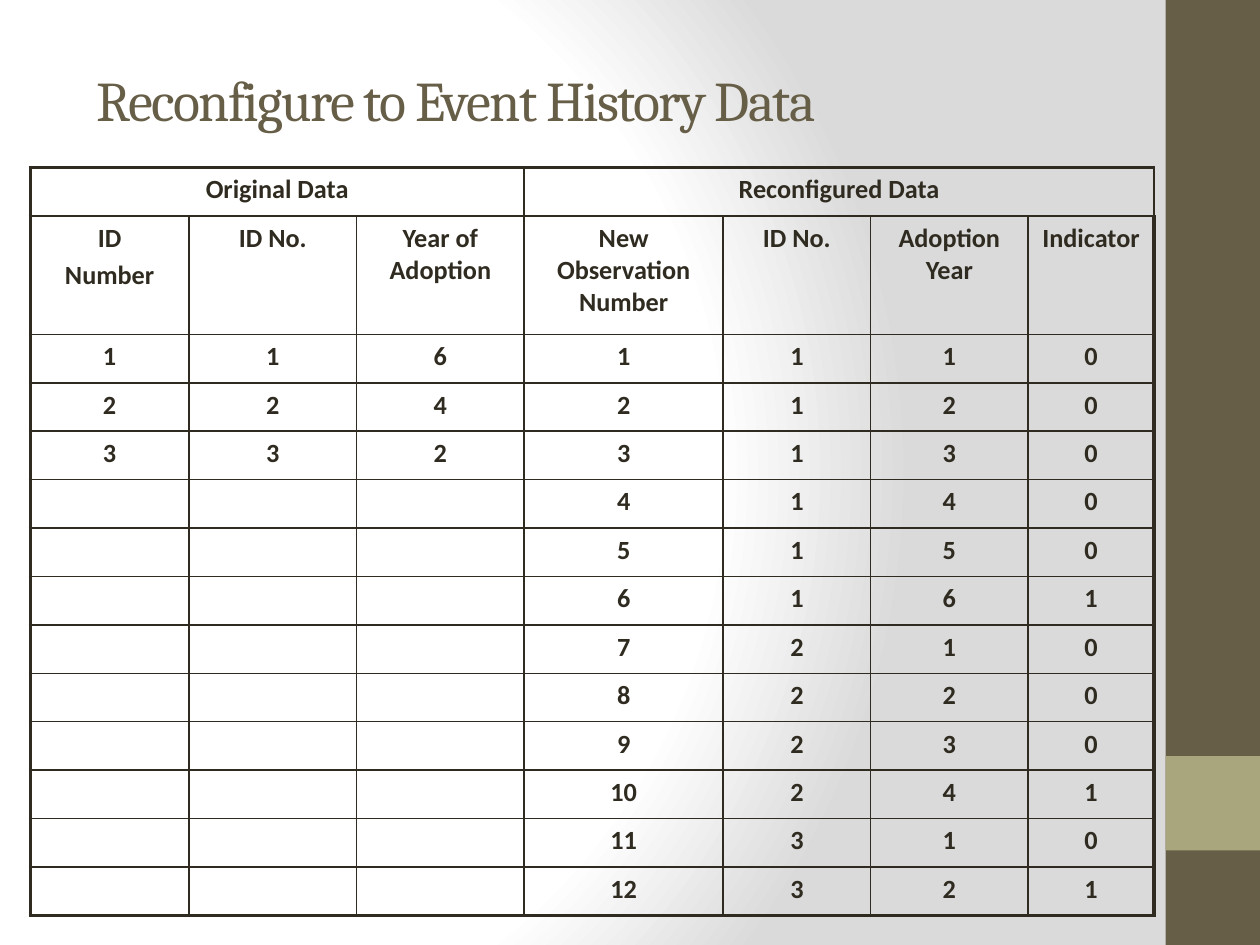
"""Build a slide that reshapes adoption records into event history data."""
from dataclasses import dataclass

from lxml.etree import SubElement
from pptx import Presentation
from pptx.dml.color import RGBColor
from pptx.enum.shapes import MSO_SHAPE as Shape
from pptx.enum.text import MSO_ANCHOR as Anchor, PP_ALIGN as Align
from pptx.oxml import parse_xml
from pptx.oxml.ns import nsdecls, qn
from pptx.util import Inches, Pt

TITLE = "Reconfigure to Event History Data"
GROUPS = [("Original Data", 3), ("Reconfigured Data", 4)]
HEADINGS = ["ID\nNumber", "ID No.", "Year of Adoption", "New Observation Number",
            "ID No.", "Adoption Year", "Indicator"]
ADOPTION_YEARS = {1: 6, 2: 4, 3: 2}

SLIDE_W, SLIDE_H = 10, 7.5
SIDEBAR_W = 0.75
TITLE_BOX = (0.67, 0.16, 8.5, 1.25)
TABLE_BOX = (0.24, 1.33, 8.93, 5.94)
COLUMN_WIDTHS = [1.26, 1.33, 1.33, 1.58, 1.17, 1.25, 1]
HEADING_ROW, HEADING_H = 1, 0.94


@dataclass(frozen=True)
class Theme:
    ink: str = "2F2B20"
    brown: str = "675E47"
    olive: str = "A9A57C"
    backdrop: tuple = ((0, "FFFFFF"), (75, "FFFFFF"), (100, "DADADA"))
    title_font: str = "Cambria"
    body_font: str = "Calibri"
    title_size: float = 32
    body_size: float = 15
    inner_line: float = 1
    outer_line: float = 2.25


THEME = Theme()


def write(frame, text, *, font, size, color, bold=False, align=Align.LEFT,
          before=0, tracking=0):
    for index, line in enumerate(text.split("\n")):
        paragraph = frame.paragraphs[0] if index == 0 else frame.add_paragraph()
        paragraph.alignment = align
        paragraph.space_before = Pt(before)
        if not line:
            SubElement(paragraph._p, qn("a:endParaRPr"), sz=str(int(size * 100)))
            continue
        run = paragraph.add_run()
        run.text = line
        run.font.name, run.font.size, run.font.bold = font, Pt(size), bold
        run.font.color.rgb = RGBColor.from_string(color)
        if tracking:
            run.font._element.set("spc", str(int(tracking * 100)))


def paint_backdrop(slide):
    stops = "".join(f'<a:gs pos="{share * 1000}"><a:srgbClr val="{color}"/></a:gs>'
                    for share, color in THEME.backdrop)
    slide.element.cSld.insert(0, parse_xml(
        f'<p:bg {nsdecls("p", "a")}><p:bgPr><a:gradFill rotWithShape="1">'
        f'<a:gsLst>{stops}</a:gsLst><a:path path="circle">'
        '<a:fillToRect l="20000" t="50000" r="100000" b="50000"/></a:path>'
        '</a:gradFill><a:effectLst/></p:bgPr></p:bg>'))


def add_band(slide, top, height, color):
    band = slide.shapes.add_shape(Shape.RECTANGLE, *map(
        Inches, (SLIDE_W - SIDEBAR_W, top, SIDEBAR_W, height)))
    band.shadow.inherit = False
    band.fill.solid()
    band.fill.fore_color.rgb = RGBColor.from_string(color)
    band.line.fill.background()


def set_borders(cell, outer_edges):
    properties = cell._tc.get_or_add_tcPr()
    for side, is_outer in zip("LRTB", outer_edges):
        width = THEME.outer_line if is_outer else THEME.inner_line
        properties.append(parse_xml(
            f'<a:ln{side} {nsdecls("a")} w="{Pt(width)}"><a:solidFill>'
            f'<a:srgbClr val="{THEME.ink}"/></a:solidFill></a:ln{side}>'))


def table_rows():
    records = [(person, person, year) for person, year in ADOPTION_YEARS.items()]
    history = [(person, year, int(year == adopted))
               for person, adopted in ADOPTION_YEARS.items()
               for year in range(1, adopted + 1)]
    group_row = [label for name, span in GROUPS for label in [name] + [""] * (span - 1)]
    blank_record = ("",) * len(records[0])
    records += [blank_record] * (len(history) - len(records))
    return [group_row, HEADINGS] + [
        [*record, number, *event]
        for number, (record, event) in enumerate(zip(records, history), 1)]


def add_history_table(slide):
    rows = table_rows()
    last_row, last_column = len(rows) - 1, len(COLUMN_WIDTHS) - 1
    table = slide.shapes.add_table(len(rows), len(COLUMN_WIDTHS),
                                   *map(Inches, TABLE_BOX)).table
    table.first_row = table.horz_banding = False
    for column, width in zip(table.columns, COLUMN_WIDTHS):
        column.width = Inches(width)
    plain_height = (TABLE_BOX[3] - HEADING_H) / last_row
    for r, values in enumerate(rows):
        table.rows[r].height = Inches(HEADING_H if r == HEADING_ROW else plain_height)
        for c, value in enumerate(values):
            cell = table.cell(r, c)
            set_borders(cell, (c == 0, c == last_column, r == 0, r == last_row))
            cell.fill.background()
            write(cell.text_frame, str(value), font=THEME.body_font,
                  size=THEME.body_size, color=THEME.ink, bold=True,
                  align=Align.CENTER, before=THEME.body_size * 0.2)
    start = 0
    for _, span in GROUPS:
        table.cell(0, start).merge(table.cell(0, start + span - 1))
        start += span


def main():
    deck = Presentation()
    deck.slide_width, deck.slide_height = Inches(SLIDE_W), Inches(SLIDE_H)
    slide = deck.slides.add_slide(deck.slide_layouts[6])
    paint_backdrop(slide)
    add_band(slide, 0, SLIDE_H, THEME.brown)
    add_band(slide, SLIDE_H * 0.8, SLIDE_H * 0.1, THEME.olive)
    heading = slide.shapes.add_textbox(*map(Inches, TITLE_BOX)).text_frame
    heading.word_wrap = True
    heading.vertical_anchor = Anchor.MIDDLE
    write(heading, TITLE, font=THEME.title_font, size=THEME.title_size,
          color=THEME.brown, tracking=-1)
    add_history_table(slide)
    deck.save("out.pptx")


if __name__ == "__main__":
    main()
